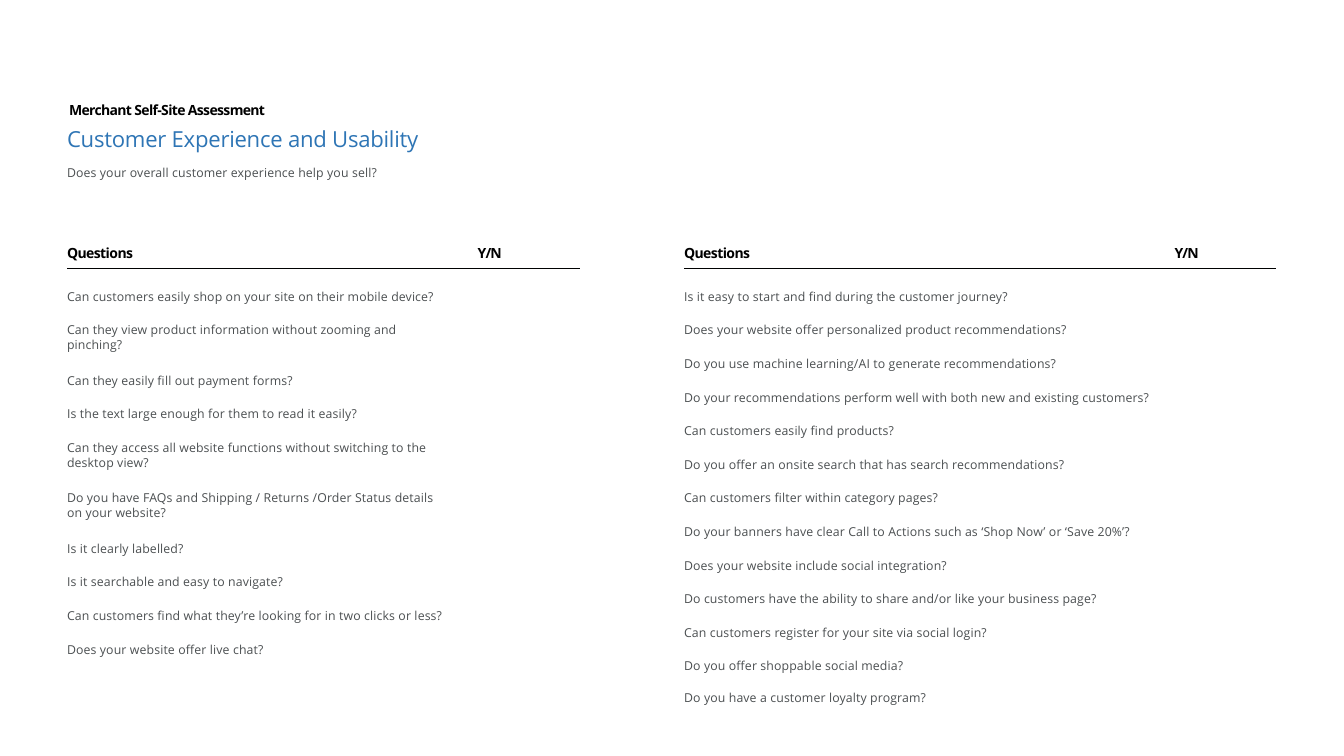
from lxml.etree import SubElement
from pptx import Presentation
from pptx.dml.color import RGBColor
from pptx.enum.shapes import MSO_CONNECTOR
from pptx.enum.text import MSO_ANCHOR
from pptx.oxml.ns import qn
from pptx.util import Cm, Pt

BLACK = RGBColor(0x00, 0x00, 0x00)
RULE = RGBColor(0x00, 0x01, 0x01)
BLUE = RGBColor(0x2E, 0x75, 0xB5)
GREY = RGBColor(0x4B, 0x4F, 0x51)

HEADER_TOP = 6.17
RULE_TOP = 6.76
QUESTIONS_TOP = 7.28
ROW_STEP = 0.847
LINE_STEP = 0.423

MOBILE_QUESTIONS = [
    "Can customers easily shop on your site on their mobile device?",
    "Can they view product information without zooming and\npinching?",
    "Can they easily fill out payment forms?",
    "Is the text large enough for them to read it easily?",
    "Can they access all website functions without switching to the\ndesktop view?",
    "Do you have FAQs and Shipping / Returns /Order Status details\non your website?",
    "Is it clearly labelled?",
    "Is it searchable and easy to navigate?",
    "Can customers find what they’re looking for in two clicks or less?",
    "Does your website offer live chat?",
]
JOURNEY_QUESTIONS = [
    "Is it easy to start and find during the customer journey?",
    "Does your website offer personalized product recommendations?",
    "Do you use machine learning/AI to generate recommendations?",
    "Do your recommendations perform well with both new and existing customers?",
    "Can customers easily find products?",
    "Do you offer an onsite search that has search recommendations?",
    "Can customers filter within category pages?",
    "Do your banners have clear Call to Actions such as ‘Shop Now’ or ‘Save 20%’?",
    "Does your website include social integration?",
    "Do customers have the ability to share and/or like your business page?",
    "Can customers register for your site via social login?",
    "Do you offer shoppable social media?",
]
LOYALTY_QUESTION = "Do you have a customer loyalty program?"


def write(frame, text, size=8.8, color=GREY, bold=False, tracking=0.1, before=0, indent=0):
    """Add each line of the text to the frame as a formatted paragraph."""
    for line in text.split("\n"):
        first = frame.paragraphs[0]
        paragraph = first if not first.runs else frame.add_paragraph()
        paragraph.space_before = Pt(before)
        paragraph._p.get_or_add_pPr().set("marL", str(Cm(indent)))
        run = paragraph.add_run()
        run.text = line
        run.font.name = "Open Sans"
        run.font.size = Pt(size)
        run.font.bold = bold
        run.font.color.rgb = color
        run._r.get_or_add_rPr().set("spc", str(round(tracking * 100)))


class AssessmentPage:
    """Hold the style and the current slide, and draw its elements."""

    def __init__(self, slide):
        """Keep the slide to draw on."""
        self.slide = slide

    def frame(self, left, top, width, height):
        """Add a text box without margins and return its text frame."""
        box = self.slide.shapes.add_textbox(Cm(left), Cm(top), Cm(width), Cm(height))
        frame = box.text_frame
        frame.word_wrap = True
        frame.vertical_anchor = MSO_ANCHOR.TOP
        frame.margin_left = frame.margin_right = 0
        frame.margin_top = frame.margin_bottom = 0
        return frame

    def rule(self, left, right, top):
        """Draw a thin horizontal line."""
        line = self.slide.shapes.add_connector(
            MSO_CONNECTOR.STRAIGHT, Cm(left), Cm(top), Cm(right), Cm(top))
        line.line.color.rgb = RULE
        line.line.width = Pt(0.82)
        SubElement(line._element.spPr, qn("a:effectLst"))

    def header(self, label, left, width, tracking):
        """Write a bold column heading."""
        write(self.frame(left, HEADER_TOP, width, 0.48), label,
              size=10, color=BLACK, bold=True, tracking=tracking)

    def checklist(self, questions, left, answer_left, right):
        """Draw a headed list of questions and return the next row's top."""
        width = answer_left - left - 0.3
        self.header("Questions", left, 2, -0.4)
        self.header("Y/N", answer_left, 1, -0.6)
        self.rule(left, right, RULE_TOP)
        top = QUESTIONS_TOP
        for question in questions:
            extra = question.count("\n") * LINE_STEP
            write(self.frame(left, top, width, LINE_STEP + extra), question)
            top += ROW_STEP + extra
        return top


presentation = Presentation()
presentation.slide_width = Cm(33.87)
presentation.slide_height = Cm(19.05)
page = AssessmentPage(presentation.slides.add_slide(presentation.slide_layouts[6]))

intro = page.frame(1.69, 2.57, 10, 2.2)
write(intro, "Merchant Self-Site Assessment",
      size=10, color=BLACK, bold=True, tracking=-0.45, indent=0.05)
write(intro, "Customer Experience and Usability",
      size=15.8, color=BLUE, tracking=-0.2, before=4.4)
write(intro, "Does your overall customer experience help you sell?", before=10)

page.checklist(MOBILE_QUESTIONS, 1.69, 12.04, 14.61)
loyalty_top = page.checklist(JOURNEY_QUESTIONS, 17.24, 29.6, 32.16) - 0.06
write(page.frame(17.24, loyalty_top, 12, LINE_STEP), LOYALTY_QUESTION)

presentation.save("out.pptx")
